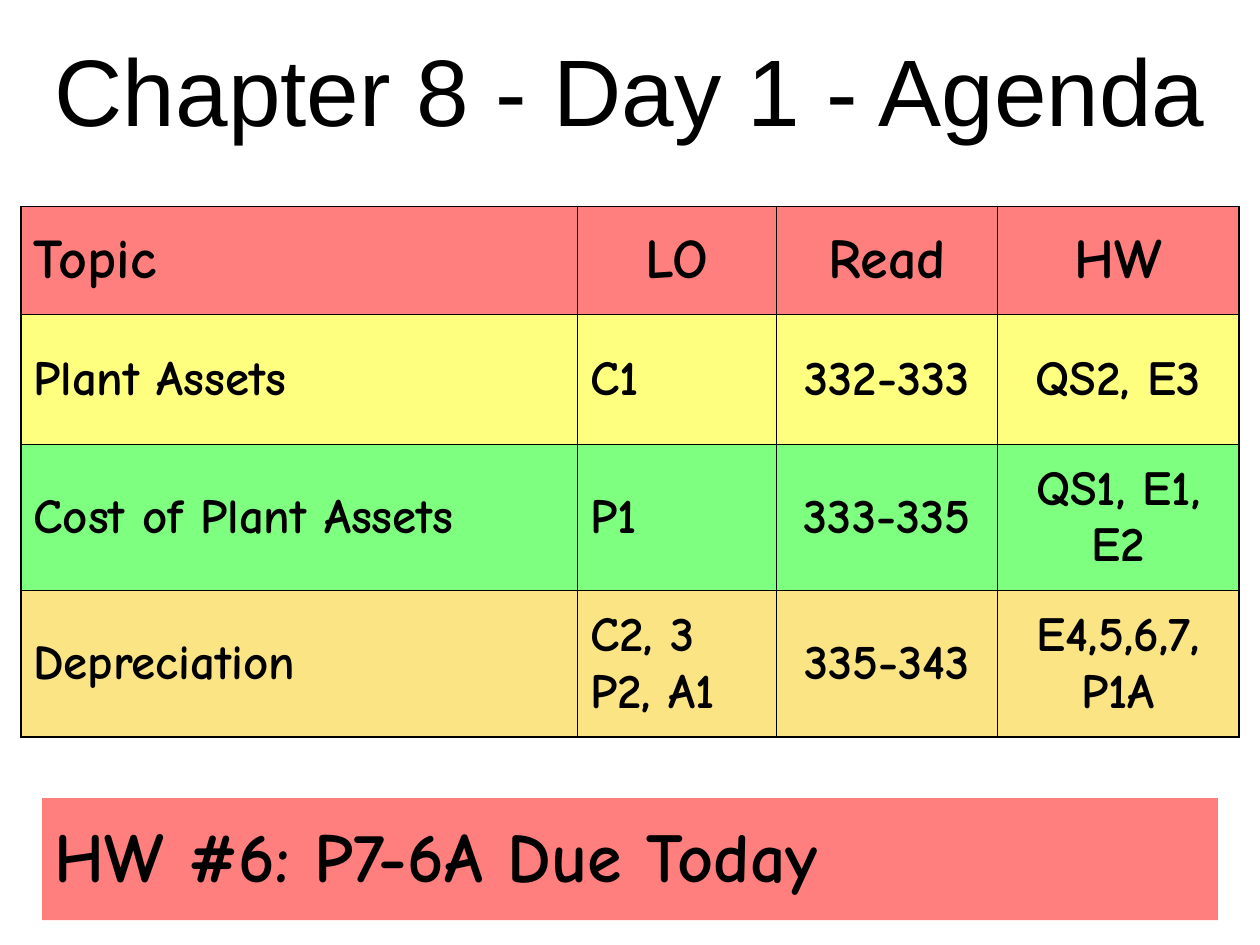
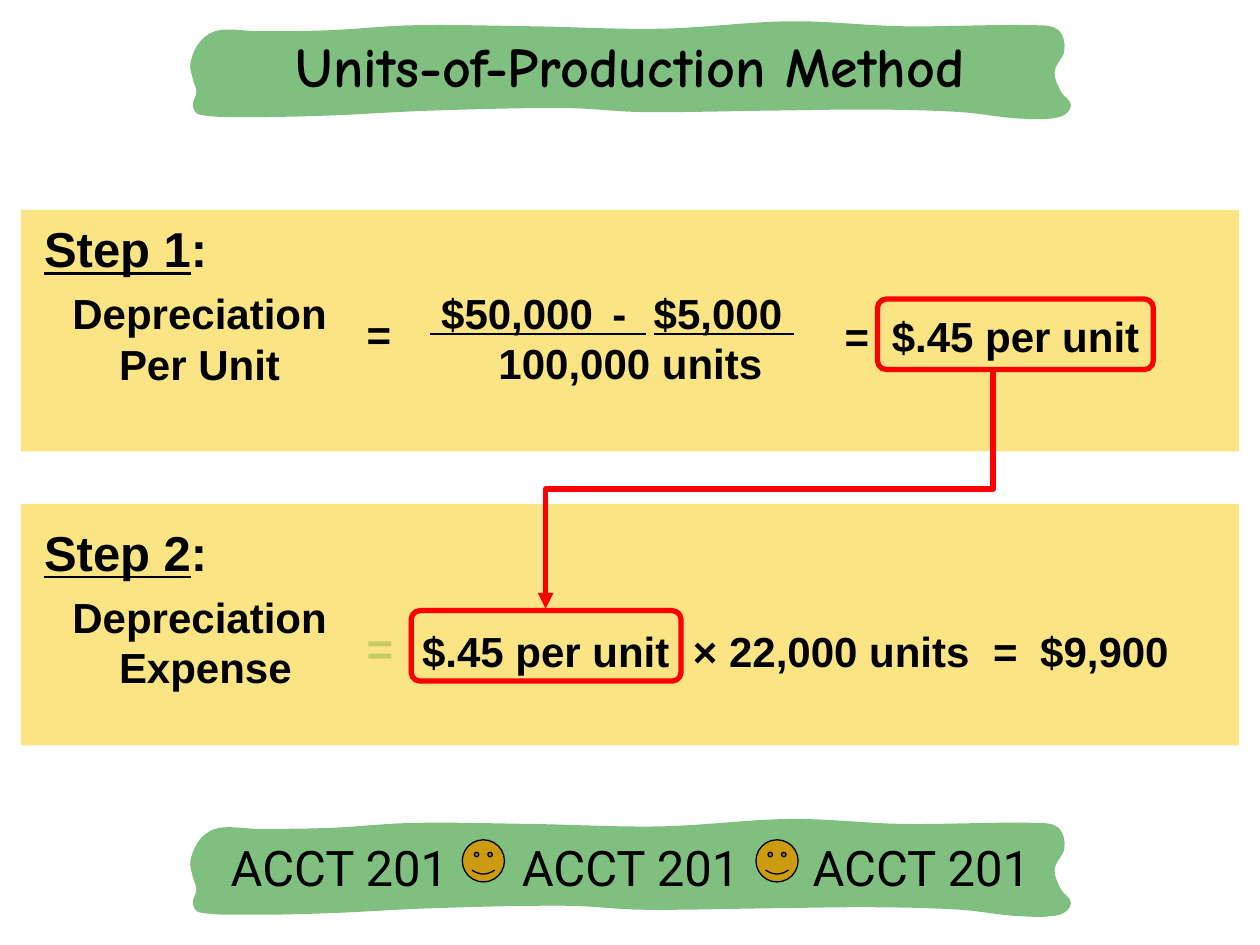
from math import hypot

from lxml.etree import SubElement
from pptx import Presentation
from pptx.dml.color import RGBColor
from pptx.enum.shapes import MSO_CONNECTOR, MSO_SHAPE
from pptx.enum.text import MSO_ANCHOR, MSO_AUTO_SIZE, PP_ALIGN
from pptx.oxml.ns import qn
from pptx.util import Cm, Pt

# Shared look
BLACK, RED, GOLD, GREEN = "000000", "FF0000", "F8CB0A", "008000"
YELLOW, LIME, SMILEY, PALE_EQUALS = "FFFF00", "00FF00", "CC9B10", "C6CB65"
PLAIN_FONT, HAND_FONT, FOOTER_FONT = "Arial", "Comic Neue", "Roboto"
NO_TABLE_STYLE = "{2D5ABB26-0587-4C30-8999-92F81FD0307C}"
RIBBON_LEFT = 3.81

# Knots of the torn ribbon, in cm from its top left corner
RIBBON_KNOTS = [
    (13.84, 1.78), (11.79, 1.8), (9.12, 1.83), (7.62, 1.75), (4.9, 1.8),
    (2.82, 1.9), (1.22, 1.93), (0.2, 1.88), (0.08, 1.7), (0.15, 1.42),
    (0.08, 1.17), (0.03, 0.84), (0.25, 0.38), (0.61, 0.18), (1.4, 0.2),
    (2.84, 0.18), (4.52, 0.08), (6.86, 0.1), (9.5, 0.15), (12.14, 0),
    (14.38, 0.1), (17.09, 0.08), (17.53, 0.18), (17.65, 0.58), (17.45, 1.02),
    (17.58, 1.42), (17.78, 1.7), (17.55, 1.93), (16.74, 1.96), (15.54, 1.83),
]

AGENDA = [
    (RED, 32, ["Topic", "LO", "Read", "HW"]),
    (YELLOW, 28, ["Plant Assets", "C1", "332-333", "QS2, E3"]),
    (LIME, 28, ["Cost of Plant Assets", "P1", "333-335", "QS1, E1, E2"]),
    (GOLD, 28, ["Depreciation", "C2, 3 P2, A1", "335-343", "E4,5,6,7, P1A"]),
]


def color(hex_string):
    return RGBColor.from_string(hex_string)


def paint(fill, properties, hex_string):
    """Fill with a half transparent colour."""
    fill.solid()
    fill.fore_color.rgb = color(hex_string)
    SubElement(properties.find(qn("a:solidFill"))[0], qn("a:alpha"), val="50000")


def style(paragraph, font, size, bold=False, hex_string=BLACK):
    paragraph.font.name = font
    paragraph.font.size = Pt(size)
    paragraph.font.bold = bold
    paragraph.font.color.rgb = color(hex_string)


def add_text(slide, box, lines, size=24, font=PLAIN_FONT, bold=True,
             hex_string=BLACK, tabs=(), second_indent=0):
    """Text box; returns its paragraphs."""
    frame = slide.shapes.add_textbox(*map(Cm, box)).text_frame
    frame.word_wrap = True
    for index, line in enumerate(lines):
        paragraph = frame.paragraphs[0] if index == 0 else frame.add_paragraph()
        paragraph.add_run().text = line
        properties = paragraph._p.get_or_add_pPr()
        if index and second_indent:
            properties.set("marL", str(Cm(second_indent)))
        if tabs:
            stops = SubElement(properties, qn("a:tabLst"))
            for stop in tabs:
                SubElement(stops, qn("a:tab"), pos=str(Cm(stop)), algn="l")
        style(paragraph, font, size, bold, hex_string)
    return frame.paragraphs


def set_title(slide, box, text, font, size, bold):
    title = slide.shapes.title
    title.left, title.top, title.width, title.height = map(Cm, box)
    frame = title.text_frame
    frame.text = text
    frame.auto_size = MSO_AUTO_SIZE.NONE
    frame.vertical_anchor = MSO_ANCHOR.MIDDLE
    paragraph = frame.paragraphs[0]
    paragraph.alignment = PP_ALIGN.CENTER
    style(paragraph, font, size, bold)
    # Bring the title in front of what is already on the slide
    title.element.getparent().append(title.element)


# Tables
def set_borders(cell, widths):
    properties = cell._tc.get_or_add_tcPr()
    for side, width in widths.items():
        line = SubElement(properties, qn(f"a:ln{side}"), w=str(Pt(width)))
        SubElement(SubElement(line, qn("a:solidFill")), qn("a:srgbClr"), val=BLACK)


def add_plain_table(slide, left, top, column_widths, row_heights):
    frame = slide.shapes.add_table(
        len(row_heights), len(column_widths), Cm(left), Cm(top),
        Cm(sum(column_widths)), Cm(sum(row_heights)))
    next(frame.element.iter(qn("a:tableStyleId"))).text = NO_TABLE_STYLE
    table = frame.table
    table.first_row = table.horz_banding = False
    for column, width in zip(table.columns, column_widths):
        column.width = Cm(width)
    for row, height in zip(table.rows, row_heights):
        row.height = Cm(height)
    return table


def fill_cell(cell, text, size, hex_string, alignment=PP_ALIGN.LEFT):
    cell.text = text
    cell.vertical_anchor = MSO_ANCHOR.MIDDLE
    paragraph = cell.text_frame.paragraphs[0]
    paragraph.alignment = alignment
    style(paragraph, HAND_FONT, size, True)
    paint(cell.fill, cell._tc.get_or_add_tcPr(), hex_string)


def add_agenda(slide, left, top):
    table = add_plain_table(slide, left, top, [11.22, 4.02, 4.45, 4.87],
                            [2.18, 2.62, 2.95, 2.95])
    last_row, last_column = len(AGENDA) - 1, 3
    for row, (hex_string, size, texts) in enumerate(AGENDA):
        for column, text in enumerate(texts):
            cell = table.cell(row, column)
            outer = {"L": column == 0, "R": column == last_column,
                     "T": row == 0, "B": row == last_row}
            set_borders(cell, {side: 1.08 if edge else 0.45
                               for side, edge in outer.items()})
            centred = column > 1 or (row == 0 and column == 1)
            fill_cell(cell, text, size, hex_string,
                      PP_ALIGN.CENTER if centred else PP_ALIGN.LEFT)


# Shapes
def curve_outline(shape):
    """Turn the straight sides of a closed freeform into smooth curves."""
    sides = list(shape.element.iter(qn("a:lnTo")))
    knots = [(int(side[0].get("x")), int(side[0].get("y"))) for side in sides]
    count = len(knots)

    def handle(index, reach):
        before, after = knots[index - 1], knots[(index + 1) % count]
        dx, dy = after[0] - before[0], after[1] - before[1]
        scale = reach / hypot(dx, dy)
        return knots[index][0] + scale * dx, knots[index][1] + scale * dy

    for index, side in enumerate(sides):
        start, end = knots[index - 1], knots[index]
        reach = hypot(end[0] - start[0], end[1] - start[1]) / 3
        side.tag = qn("a:cubicBezTo")
        controls = [handle(index - 1, reach), handle(index, -reach)]
        for position, (x, y) in enumerate(controls):
            point = SubElement(side, qn("a:pt"), x=str(round(x)), y=str(round(y)))
            side.insert(position, point)


def add_ribbon(slide, top):
    points = [(Cm(x), Cm(y)) for x, y in RIBBON_KNOTS]
    builder = slide.shapes.build_freeform(*points[0])
    builder.add_line_segments(points[1:] + points[:1], close=False)
    ribbon = builder.convert_to_shape(Cm(RIBBON_LEFT), Cm(top))
    curve_outline(ribbon)
    SubElement(next(ribbon.element.iter(qn("a:moveTo"))).getparent(), qn("a:close"))
    ribbon.shadow.inherit = False
    paint(ribbon.fill, ribbon.element.spPr, GREEN)
    ribbon.line.fill.background()


def add_footer(slide, top):
    add_ribbon(slide, top)
    add_text(slide, (4.4, top + 0.25, 16.78, 1.47),
             ["\t".join(["ACCT 201"] * 3)], 28, FOOTER_FONT, False,
             tabs=(5.87, 11.73))
    for left in (9.32, 15.24):
        face = slide.shapes.add_shape(MSO_SHAPE.SMILEY_FACE, Cm(left),
                                      Cm(top + 0.42), Cm(0.85), Cm(0.85))
        face.shadow.inherit = False
        face.fill.solid()
        face.fill.fore_color.rgb = color(SMILEY)
        face.line.color.rgb = color(BLACK)
        face.line.width = Pt(0.75)


def add_band(slide, top):
    band = slide.shapes.add_shape(MSO_SHAPE.RECTANGLE, Cm(0.42), Cm(top),
                                  Cm(24.56), Cm(4.87))
    band.shadow.inherit = False
    paint(band.fill, band.element.spPr, GOLD)
    band.line.fill.background()


def add_step(slide, top, number, quantity):
    heading = add_text(slide, (0.64, top, 4.22, 1.42), [f"Step {number}"], 28)[0]
    heading.runs[0].font.underline = True
    heading.add_run().text = ":"
    add_text(slide, (1.21, top + 1.39, 5.8, 2.29), ["Depreciation", quantity],
             second_indent=0.94)


def add_fraction(slide, left, top):
    numerator = add_text(slide, (left, top, 8.2, 2.29),
                         [" $50,000", "100,000 units"], second_indent=1.39)[0]
    minus = numerator.add_run()
    minus.text = " - "
    minus._r.get_or_add_rPr().set("spc", "445")
    numerator.add_run().text = "$5,000 "
    for run in numerator.runs:
        run.font.underline = True


def add_rate_frame(slide, left, top, width):
    frame = slide.shapes.add_shape(MSO_SHAPE.ROUNDED_RECTANGLE, Cm(left), Cm(top),
                                   Cm(width), Cm(1.42))
    frame.adjustments[0] = 0.125
    frame.shadow.inherit = False
    frame.fill.background()
    frame.line.color.rgb = color(RED)
    frame.line.width = Pt(3)


def add_down_arrow(slide, start, end):
    """Elbow that leaves downwards: a quarter turn of the sideways one."""
    span, drop = start[0] - end[0], end[1] - start[1]
    left = (start[0] + end[0] - drop) / 2
    top = (start[1] + end[1] - span) / 2
    arrow = slide.shapes.add_connector(MSO_CONNECTOR.ELBOW, Cm(left), Cm(top),
                                       Cm(left + drop), Cm(top + span))
    properties = arrow.element.spPr
    properties.find(qn("a:xfrm")).set("rot", "5400000")
    arrow.line.color.rgb = color(RED)
    arrow.line.width = Pt(3)
    SubElement(properties.find(qn("a:ln")), qn("a:tailEnd"), type="triangle")
    SubElement(properties, qn("a:effectLst"))


# Slides
def build_agenda_slide(slide):
    add_agenda(slide, 0.42, 4.16)
    set_title(slide, (0, 0.51, 25.4, 2.54), "Chapter 8 - Day 1 - Agenda",
              PLAIN_FONT, 54, False)
    notice = add_plain_table(slide, 0.85, 16.09, [23.7], [2.46])
    fill_cell(notice.cell(0, 0), "HW #6: P7-6A Due Today", 40, RED)


def build_method_slide(slide):
    for band_top in (10.16, 4.23):
        add_band(slide, band_top)

    # Expense
    add_step(slide, 10.41, 2, "Expense")
    add_text(slide, (7.14, 12.37, 1.1, 1.35), ["="], 26, hex_string=PALE_EQUALS)
    add_text(slide, (8.26, 12.48, 16.71, 1.27),
             ["$.45 per unit\t× 22,000 units\t=\t$9,900"],
             tabs=(5.46, 11.51, 12.46))

    # Rate per unit
    add_step(slide, 4.29, 1, "Per Unit")
    add_text(slide, (7.14, 6.1, 1.1, 1.27), ["="])
    add_fraction(slide, 8.41, 5.67)
    add_text(slide, (16.78, 6.13, 6.9, 1.27), ["=\t$.45 per unit"], tabs=(0.95,))

    # Link between the two rates
    add_rate_frame(slide, 17.69, 6.03, 5.56)
    add_rate_frame(slide, 8.29, 12.31, 5.44)
    add_down_arrow(slide, (20.02, 7.45), (11, 12.27))

    add_footer(slide, 16.51)
    add_ribbon(slide, 0.43)
    set_title(slide, (4.45, 0.49, 16.51, 1.63), "Units-of-Production Method",
              HAND_FONT, 32, True)


def main():
    presentation = Presentation()
    presentation.slide_width, presentation.slide_height = Cm(25.4), Cm(19.05)
    title_only = presentation.slide_layouts[5]
    for build in (build_agenda_slide, build_method_slide):
        build(presentation.slides.add_slide(title_only))
    presentation.save("out.pptx")


if __name__ == "__main__":
    main()
